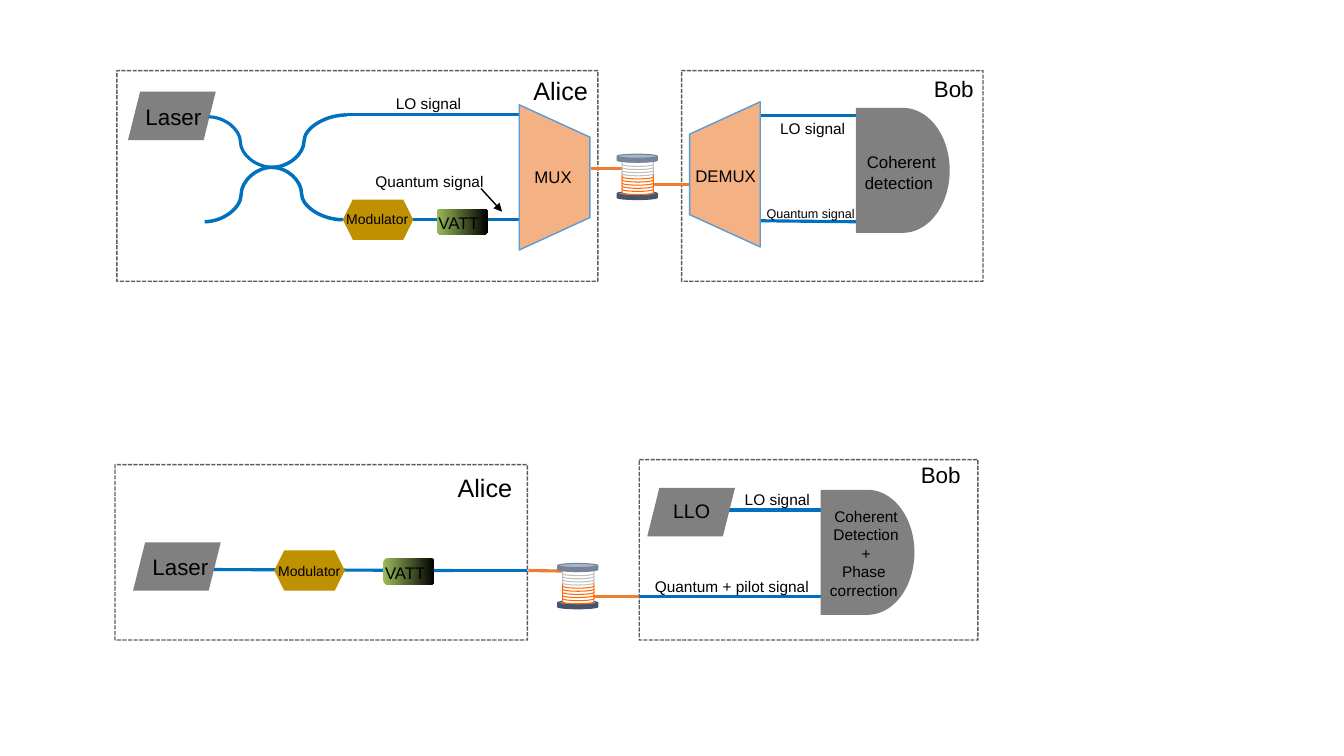
from lxml.etree import SubElement
from pptx import Presentation
from pptx.dml.color import RGBColor
from pptx.enum.dml import MSO_LINE
from pptx.enum.shapes import MSO_CONNECTOR, MSO_SHAPE
from pptx.enum.text import PP_ALIGN
from pptx.oxml.ns import qn
from pptx.util import Inches, Pt

BLUE = "0070C0"
ORANGE = "ED7D31"
GREY = "808080"
GOLD = "BF9000"
PEACH = "F4B183"
SLATE = "44546A"
LID = "75849B"


def color(code):
    return RGBColor.from_string(code)


def apply(target, values):
    for name, value in values.items():
        setattr(target, name, value)


class Diagram:
    font = "Arial"
    ink = "000000"
    spare = 0.3

    def __init__(self, page):
        self.page = page

    def shape(self, kind, place, fill=None, line=None, width=1, adjust=None, turn=0, owner=None):
        shapes = (owner or self.page).shapes
        item = shapes.add_shape(kind, *map(Inches, place))
        apply(item, {"rotation": turn})
        apply(item.shadow, {"inherit": False})
        if adjust is not None:
            item.adjustments[0] = adjust
        if fill:
            item.fill.solid()
            item.fill.fore_color.rgb = color(fill)
        else:
            item.fill.background()
        if line:
            item.line.color.rgb = color(line)
            item.line.width = Pt(width)
        else:
            item.line.fill.background()
        return item

    def frame(self, *place):
        item = self.shape(MSO_SHAPE.RECTANGLE, place, line=self.ink)
        item.line.dash_style = MSO_LINE.SQUARE_DOT
        shade = item.line._get_or_add_ln().find(".//" + qn("a:srgbClr"))
        SubElement(shade, qn("a:alpha"), val="63000")

    def line(self, start, end, code=BLUE, width=2.25, bend=None, arrow=False):
        kind = MSO_CONNECTOR.STRAIGHT if bend is None else MSO_CONNECTOR.CURVE
        item = self.page.shapes.add_connector(kind, *map(Inches, (*start, *end)))
        item.line.color.rgb = color(code)
        item.line.width = Pt(width)
        properties = item._element.spPr
        if arrow:
            SubElement(item.line._get_or_add_ln(), qn("a:tailEnd"), type="triangle")
        SubElement(properties, qn("a:effectLst"))
        if bend is not None:
            guides = properties.find(qn("a:prstGeom")).get_or_add_avLst()
            SubElement(guides, qn("a:gd"), name="adj1", fmla=f"val {round(bend * 100000)}")

    def span(self, para, words, size):
        span = para.add_run()
        span.text = words
        apply(span.font, {"name": self.font, "size": Pt(size)})
        span.font.color.rgb = color(self.ink)

    def text(self, words, place, size, align=PP_ALIGN.CENTER):
        left, top, width, height = place
        if align == PP_ALIGN.CENTER:
            left, width = left - self.spare, width + 2 * self.spare
        box = self.page.shapes.add_textbox(*map(Inches, (left, top, width, height)))
        frame = box.text_frame
        apply(frame, {"word_wrap": False})
        for index, words_line in enumerate(words.split("\n")):
            para = frame.add_paragraph() if index else frame.paragraphs[0]
            para.alignment = align
            self.span(para, words_line, size)
        return box

    def source(self, name, left, top, label, size):
        self.shape(MSO_SHAPE.PARALLELOGRAM, (left, top, 0.87, 0.48), GREY, adjust=0.25)
        self.text(name, (*label, 1.16, 0.4), size)

    def modulator(self, left, top, label):
        self.shape(MSO_SHAPE.HEXAGON, (left, top, 0.7, 0.4), GOLD)
        box = self.text("Modulator", label, 10)
        self.span(box.text_frame.paragraphs[0], " ", 12)

    def attenuator(self, left, top):
        item = self.shape(MSO_SHAPE.ROUNDED_RECTANGLE, (left, top, 0.51, 0.26), GREY, adjust=0.167)
        item.fill.gradient()
        item.fill.gradient_angle = 0
        for stop, code, position in zip(item.fill.gradient_stops, ("9BBB59", "000000"), (0, 1)):
            stop.color.rgb = color(code)
            stop.position = position
        self.text("VATT", (left - 0.08, top - 0.01, 0.95, 0.46), 12, PP_ALIGN.LEFT)

    def multiplexer(self, name, left, top, turn, label):
        self.shape(MSO_SHAPE.TRAPEZOID, (left, top, 1.44, 0.7), PEACH, "5B9BD5", 1, 0.458, turn)
        self.text(name, (*label, 0.8, 0.26), 12)

    def detector(self, left, top):
        self.shape(MSO_SHAPE.FLOWCHART_DELAY, (left, top, 0.93, 1.24), GREY)

    def spool(self, left, top):
        group = self.page.shapes.add_group_shape()
        parts = [((left, top + 0.37, 0.4, 0.08), SLATE, SLATE)]
        for turn in range(10):
            edge = "FF6600" if turn < 6 else "BFBFBF"
            place = (left + 0.05, top + 0.32 - 0.031 * turn, 0.31, 0.08)
            parts.append((place, "FFFFFF", edge))
        parts.append(((left, top, 0.4, 0.08), LID, LID))
        for place, fill, edge in parts:
            self.shape(MSO_SHAPE.CAN, place, fill, edge, 0.75, 0.5, owner=group)


deck = Presentation()
apply(deck, {"slide_width": Inches(13.33), "slide_height": Inches(7.5)})
diagram = Diagram(deck.slides.add_slide(deck.slide_layouts[6]))

for place in ((1.16, 0.7, 4.77, 2.09), (6.76, 0.7, 2.99, 2.09),
              (1.14, 4.61, 4.09, 1.74), (6.34, 4.56, 3.36, 1.79)):
    diagram.frame(*place)

for start, end in (((3.83, 2.18), (5.15, 2.18)), ((3.44, 1.14), (5.15, 1.14)),
                   ((7.51, 2.19), (8.49, 2.2)), ((7.54, 1.15), (8.49, 1.15)),
                   ((2.1, 5.65), (4.5, 5.66)), ((4.46, 5.66), (5.23, 5.66)),
                   ((6.89, 5.06), (8.14, 5.06)), ((6.33, 5.92), (8.14, 5.92))):
    diagram.line(start, end)

for start, end in (((5.86, 1.67), (6.33, 1.67)), ((6.4, 1.83), (6.86, 1.83)),
                   ((5.24, 5.66), (5.89, 5.67)), ((5.88, 5.92), (6.34, 5.92))):
    diagram.line(start, end, ORANGE)

diagram.source("Laser", 1.27, 0.91, (1.14, 0.97), 16)
diagram.source("Laser", 1.32, 5.38, (1.21, 5.44), 16)
diagram.source("LLO", 6.42, 4.84, (6.28, 4.9), 14)
diagram.modulator(3.4, 1.98, (3.18, 2.01, 1.17, 0.68))
diagram.modulator(2.72, 5.46, (2.65, 5.5, 0.88, 0.3))
diagram.attenuator(4.33, 2.07)
diagram.attenuator(3.8, 5.54)
diagram.multiplexer("MUX ", 4.78, 1.41, 90, (5.11, 1.61))
diagram.multiplexer("DEMUX ", 6.47, 1.38, 270, (6.82, 1.6))
diagram.detector(8.49, 1.07)
diagram.detector(8.14, 4.86)
diagram.spool(6.12, 1.53)
diagram.spool(5.53, 5.59)

coupler = (2.7, 1.66)
for end, width, bend in (((3.4, 2.18), 2.49, 0.416), ((3.44, 1.14), 2.49, 0.427),
                         ((2.03, 2.2), 2.49, 0.46), ((2.07, 1.16), 2.25, 0.5)):
    diagram.line(coupler, end, width=width, bend=bend)
diagram.line((4.77, 1.87), (4.98, 2.1), "000000", 1, arrow=True)

for words, place, size in (
    ("Alice", (5.07, 0.7, 0.98, 0.31), 18),
    ("Bob", (8.97, 0.7, 0.98, 0.31), 16),
    ("Alice", (4.41, 4.64, 0.8, 0.28), 18),
    ("Bob", (8.93, 4.53, 0.8, 0.28), 16),
    ("LO signal", (3.76, 0.88, 0.98, 0.31), 11),
    ("LO signal", (7.57, 1.13, 0.98, 0.31), 11),
    ("LO signal", (7.22, 4.81, 0.98, 0.31), 11),
    ("Quantum signal", (3.77, 1.66, 0.98, 0.31), 11),
    ("Quantum signal", (7.55, 1.99, 0.98, 0.34), 9),
    ("Quantum + pilot signal", (6.33, 5.68, 1.86, 0.32), 11),
    ("Coherent\ndetection ", (8.54, 1.46, 0.8, 0.26), 12),
    ("Coherent\nDetection\n+\nPhase \ncorrection ", (8.19, 4.98, 0.8, 0.76), 11),
):
    diagram.text(words, place, size)

deck.save("out.pptx")
